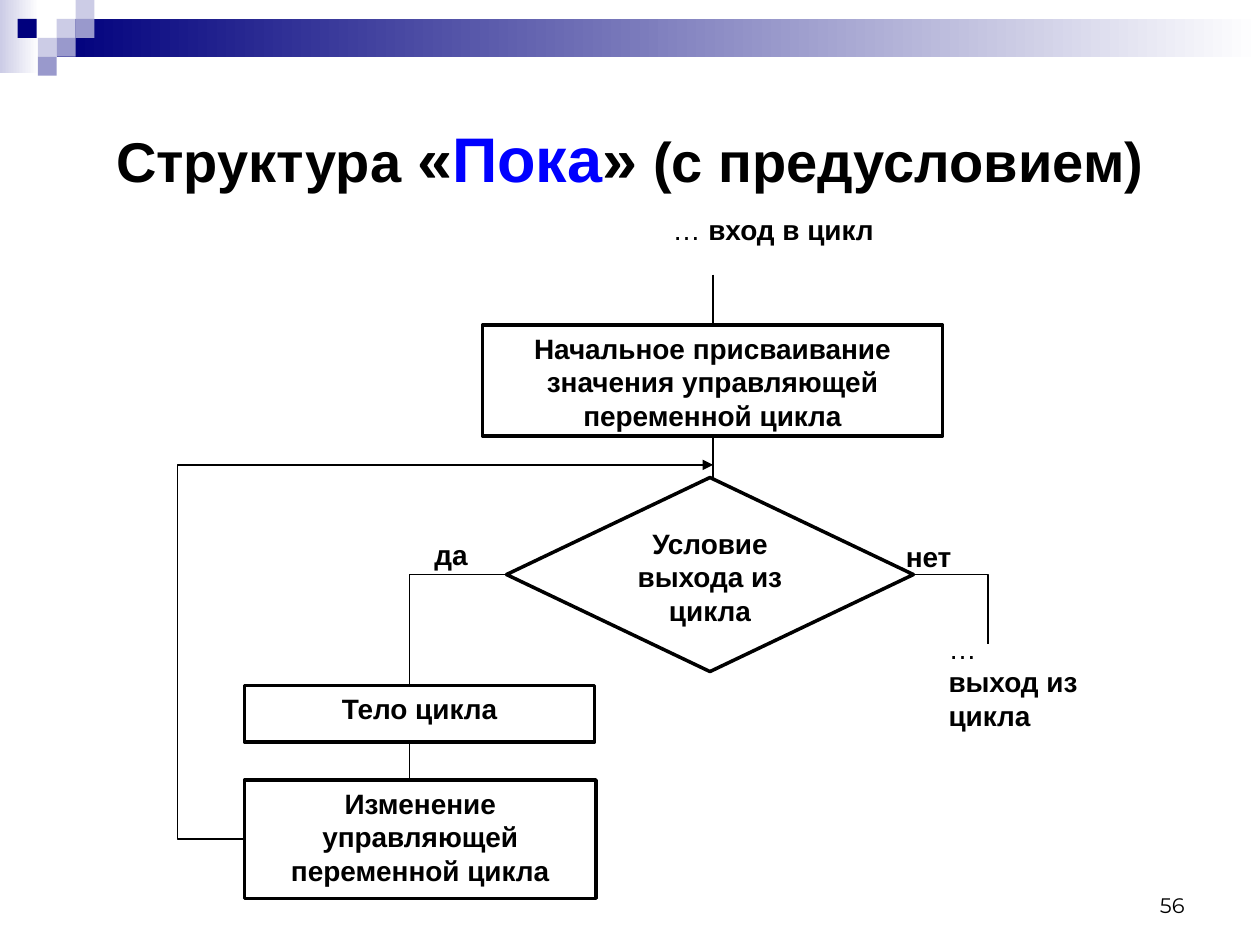
from dataclasses import dataclass

from lxml import etree
from pptx import Presentation
from pptx.dml.color import RGBColor
from pptx.enum.shapes import MSO_CONNECTOR, MSO_SHAPE
from pptx.enum.text import MSO_ANCHOR, PP_ALIGN
from pptx.oxml.ns import qn
from pptx.util import Inches, Pt

RECTANGLE, DIAMOND = MSO_SHAPE.RECTANGLE, MSO_SHAPE.DIAMOND
STRAIGHT = MSO_CONNECTOR.STRAIGHT
LEFT, CENTER, RIGHT = PP_ALIGN.LEFT, PP_ALIGN.CENTER, PP_ALIGN.RIGHT
TOP, MIDDLE, BOTTOM = MSO_ANCHOR.TOP, MSO_ANCHOR.MIDDLE, MSO_ANCHOR.BOTTOM

BLACK, WHITE, BLUE = "000000", "FFFFFF", "0000FF"
NAVY, LAVENDER, VIOLET = "00007D", "CCCCE6", "9999CC"
THIN, THICK = Pt(0.75), Pt(2)
SQUARE = 0.15


@dataclass
class Run:
    text: str
    size: float = 16
    bold: bool = True
    color: str = BLACK
    font: str = "Arial"


@dataclass
class Block:
    """A flowchart node: its box in inches and its text."""
    box: tuple[float, float, float, float]
    text: str
    kind: int = RECTANGLE
    inset: tuple[float, float] = (0.1, 0.05)
    space_after: float = 0


@dataclass
class Label:
    """Free text: its box in inches and one list of runs per paragraph."""
    box: tuple[float, float, float, float]
    paragraphs: list[list[Run]]
    align: int = LEFT
    anchor: int = TOP


@dataclass
class Path:
    points: list[tuple[float, float]]
    arrow: bool = False


SQUARES = [
    (0.45, 0.15, LAVENDER), (0.6, 0, LAVENDER), (0.6, 0.15, VIOLET),
    (0.3, 0.3, LAVENDER), (0.14, 0.15, NAVY), (0.45, 0.3, VIOLET),
    (0.3, 0.45, VIOLET),
]
GRADIENT_BARS = [((0, 0, 0.31, 0.58), LAVENDER), ((0.45, 0.15, 9.55, 0.3), NAVY)]

BLOCKS = [
    Block((3.83, 2.58, 3.65, 0.88),
          "Начальное присваивание значения управляющей переменной цикла"),
    Block((1.94, 5.44, 2.78, 0.45), "Тело цикла"),
    Block((1.94, 6.19, 2.79, 0.94),
          "Изменение управляющей переменной цикла", space_after=6),
    Block((4.02, 3.79, 3.23, 1.54), "Условие выхода из цикла",
          DIAMOND, (0, 0), 6),
]

TITLE_AND_NUMBER = [
    Label((7.17, 6.83, 2.33, 0.5),
          [[Run("56", 12, False, font="Montserrat")]], RIGHT, BOTTOM),
    Label((0.5, 0.5, 9, 1.5),
          [[Run("Структура ", 32), Run("«", 36), Run("Пока", 36, color=BLUE),
            Run("»", 36), Run(" (с предусловием)", 32)]], CENTER, MIDDLE),
]
FLOW_LABELS = [
    Label((5.24, 1.64, 2.51, 0.49), [[Run("… ", bold=False), Run("вход в цикл")]]),
    Label((7.43, 4.96, 1.5, 1.19),
          [[Run("…", bold=False)], [Run("выход из цикла")]]),
    Label((3.35, 4.22, 0.83, 0.47), [[Run("да")]]),
    Label((7.09, 4.23, 1.15, 0.58), [[Run("нет")]]),
]

YES_PATH = Path([(4.03, 4.56), (3.25, 4.56), (3.25, 6.2)])
NO_PATH = Path([(7.22, 4.56), (7.84, 4.56), (7.84, 5.11)])
RETURN_PATH = Path([(1.95, 6.66), (1.41, 6.66), (1.41, 3.69), (5.66, 3.69)], True)


def rgb(value: str) -> RGBColor:
    return RGBColor.from_string(value)


def inches(values) -> list[int]:
    return [Inches(value) for value in values]


def set_line(shape, width: int) -> None:
    shape.line.color.rgb = rgb(BLACK)
    shape.line.width = width


def write_text(shape, paragraphs: list[list[Run]], align: int, anchor: int,
               inset=(0.1, 0.05), space_after: float = 0) -> None:
    frame = shape.text_frame
    side, edge = inches(inset)
    frame_format = {
        "word_wrap": True, "vertical_anchor": anchor,
        "margin_left": side, "margin_right": side,
        "margin_top": edge, "margin_bottom": edge,
    }
    for name, value in frame_format.items():
        setattr(frame, name, value)
    for index, runs in enumerate(paragraphs):
        paragraph = frame.add_paragraph() if index else frame.paragraphs[0]
        paragraph.alignment = align
        paragraph.space_after = Pt(space_after)
        for item in runs:
            run = paragraph.add_run()
            run.text = item.text
            run_format = {"size": Pt(item.size), "bold": item.bold, "name": item.font}
            for name, value in run_format.items():
                setattr(run.font, name, value)
            run.font.color.rgb = rgb(item.color)


def add_filled(slide, kind: int, box, color: str):
    shape = slide.shapes.add_shape(kind, *inches(box))
    shape.shadow.inherit = False
    shape.fill.solid()
    shape.fill.fore_color.rgb = rgb(color)
    shape.line.fill.background()
    return shape


def add_gradient_bar(slide, box, color: str) -> None:
    """Draw a bar that fades from the colour to white, left to right."""
    fill = add_filled(slide, RECTANGLE, box, color).fill
    fill.gradient()
    fill.gradient_angle = 0
    for stop, position, stop_color in zip(fill.gradient_stops, (0, 1), (color, WHITE)):
        stop.position = position
        stop.color.rgb = rgb(stop_color)


def add_block(slide, block: Block) -> None:
    shape = add_filled(slide, block.kind, block.box, WHITE)
    set_line(shape, THICK)
    write_text(shape, [[Run(block.text)]], CENTER, TOP, block.inset, block.space_after)


def add_label(slide, label: Label) -> None:
    shape = slide.shapes.add_textbox(*inches(label.box))
    write_text(shape, label.paragraphs, label.align, label.anchor)


def add_path(slide, path: Path) -> None:
    start, *others = [inches(point) for point in path.points]
    builder = slide.shapes.build_freeform(*start)
    builder.add_line_segments(others, close=False)
    shape = builder.convert_to_shape()
    shape.shadow.inherit = False
    shape.fill.background()
    set_line(shape, THIN)
    if path.arrow:
        etree.SubElement(shape.line._get_or_add_ln(), qn("a:tailEnd"), type="triangle")


def add_entry_line(slide) -> None:
    """Draw the vertical line from the loop entry down behind the blocks."""
    connector = slide.shapes.add_connector(STRAIGHT, *inches((5.66, 2.18, 5.66, 5.17)))
    set_line(connector, THIN)
    etree.SubElement(connector._element.spPr, qn("a:effectLst"))


def main() -> None:
    presentation = Presentation()
    presentation.slide_width, presentation.slide_height = inches((10, 7.5))
    slide = presentation.slides.add_slide(presentation.slide_layouts[6])

    for box, color in GRADIENT_BARS:
        add_gradient_bar(slide, box, color)
    for left, top, color in SQUARES:
        add_filled(slide, RECTANGLE, (left, top, SQUARE, SQUARE), color)
    for label in TITLE_AND_NUMBER:
        add_label(slide, label)

    add_path(slide, YES_PATH)
    add_entry_line(slide)
    for block in BLOCKS:
        add_block(slide, block)
    add_path(slide, NO_PATH)
    for label in FLOW_LABELS:
        add_label(slide, label)
    add_path(slide, RETURN_PATH)

    presentation.save("out.pptx")


if __name__ == "__main__":
    main()
